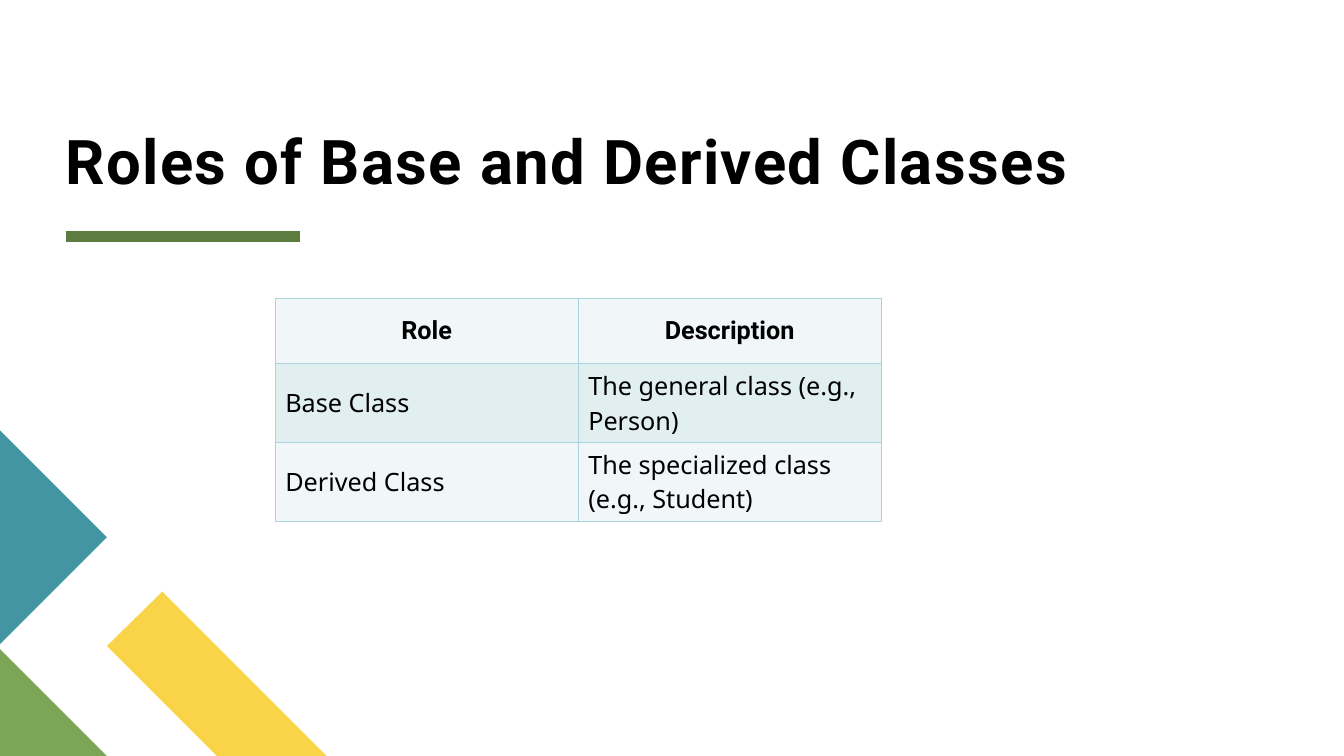
from dataclasses import dataclass

from lxml import etree
from pptx import Presentation
from pptx import util as u
from pptx.dml.color import RGBColor
from pptx.enum import shapes, text
from pptx.oxml import ns

EMU_PER_PX = 9144
HEADER_HEIGHT = 65
BODY_HEIGHT = 78
COLORS = {
    "black": "000000",
    "rule": "5D7D40",
    "yellow": "F9D448",
    "green": "7CA655",
    "teal": "4495A2",
    "border": "A9D4DB",
    "light": "F1F7F8",
    "band": "E2EFF1",
}
ROWS = [
    ("Role", "Description"),
    ("Base Class", "The general class (e.g., Person)"),
    ("Derived Class", "The specialized class (e.g., Student)"),
]


@dataclass(frozen=True)
class Polygon:
    color: str
    points: tuple[tuple[int, int], ...]


CORNER_POLYGONS = [
    Polygon("yellow", ((324, 750), (215, 750), (106, 641), (161, 587))),
    Polygon("green", ((106, 750), (0, 750), (0, 644))),
    Polygon("teal", ((0, 427), (106, 533), (0, 639))),
]


def px(length: int) -> u.Emu:
    return u.Emu(length * EMU_PER_PX)


def rgb(name: str) -> RGBColor:
    return RGBColor.from_string(COLORS[name])


def set_font(paragraph, name: str, size: int, bold: bool) -> None:
    font = paragraph.font
    font.name, font.size, font.bold = name, u.Pt(size), bold
    font.color.rgb = rgb("black")


def draw_polygon(slide, polygon: Polygon) -> None:
    builder = slide.shapes.build_freeform(*polygon.points[0], scale=EMU_PER_PX)
    builder.add_line_segments(polygon.points[1:], close=True)
    shape = builder.convert_to_shape()
    shape.shadow.inherit = False
    shape.fill.solid()
    shape.fill.fore_color.rgb = rgb(polygon.color)
    shape.line.fill.background()


def draw_title(slide, title: str) -> None:
    frame = slide.shapes.add_textbox(px(65), px(11), px(1189), px(184)).text_frame
    frame.word_wrap = True
    frame.vertical_anchor = text.MSO_ANCHOR.BOTTOM
    frame.margin_left = frame.margin_right = frame.margin_top = frame.margin_bottom = 0
    paragraph = frame.paragraphs[0]
    paragraph.line_spacing = 0.8
    run = paragraph.add_run()
    run.text = title
    set_font(paragraph, "Roboto", 44, True)
    run._r.get_or_add_rPr().set("spc", "100")


def draw_rule(slide) -> None:
    rule = slide.shapes.add_connector(
        shapes.MSO_CONNECTOR.STRAIGHT, px(65), px(235), px(298), px(235)
    )
    rule.line.color.rgb = rgb("rule")
    rule.line.width = u.Pt(8)
    etree.SubElement(rule._element.spPr, ns.qn("a:effectLst"))


def set_borders(cell) -> None:
    properties = cell._tc.get_or_add_tcPr()
    for index, side in enumerate(("lnL", "lnR", "lnT", "lnB")):
        line = etree.Element(ns.qn(f"a:{side}"), w=str(u.Pt(1)))
        fill = etree.SubElement(line, ns.qn("a:solidFill"))
        etree.SubElement(fill, ns.qn("a:srgbClr"), val=COLORS["border"])
        properties.insert(index, line)


def draw_roles_table(slide) -> None:
    height = HEADER_HEIGHT + BODY_HEIGHT * (len(ROWS) - 1)
    table = slide.shapes.add_table(
        len(ROWS), len(ROWS[0]), px(273), px(296), px(601), px(height)
    ).table
    for row_index, row in enumerate(ROWS):
        header = row_index == 0
        table.rows[row_index].height = px(HEADER_HEIGHT if header else BODY_HEIGHT)
        for column_index, wording in enumerate(row):
            cell = table.cell(row_index, column_index)
            cell.text = wording
            cell.vertical_anchor = text.MSO_ANCHOR.MIDDLE
            cell.fill.solid()
            cell.fill.fore_color.rgb = rgb("band" if row_index % 2 else "light")
            set_borders(cell)
            paragraph = cell.text_frame.paragraphs[0]
            set_font(paragraph, "Roboto" if header else "Noto Sans", 18, header)
            if header:
                paragraph.alignment = text.PP_ALIGN.CENTER


def main() -> None:
    presentation = Presentation()
    presentation.slide_width, presentation.slide_height = px(1333), px(750)
    slide = presentation.slides.add_slide(presentation.slide_layouts[6])
    draw_rule(slide)
    draw_title(slide, "Roles of Base and Derived Classes")
    for polygon in CORNER_POLYGONS:
        draw_polygon(slide, polygon)
    draw_roles_table(slide)
    presentation.save("out.pptx")


if __name__ == "__main__":
    main()
